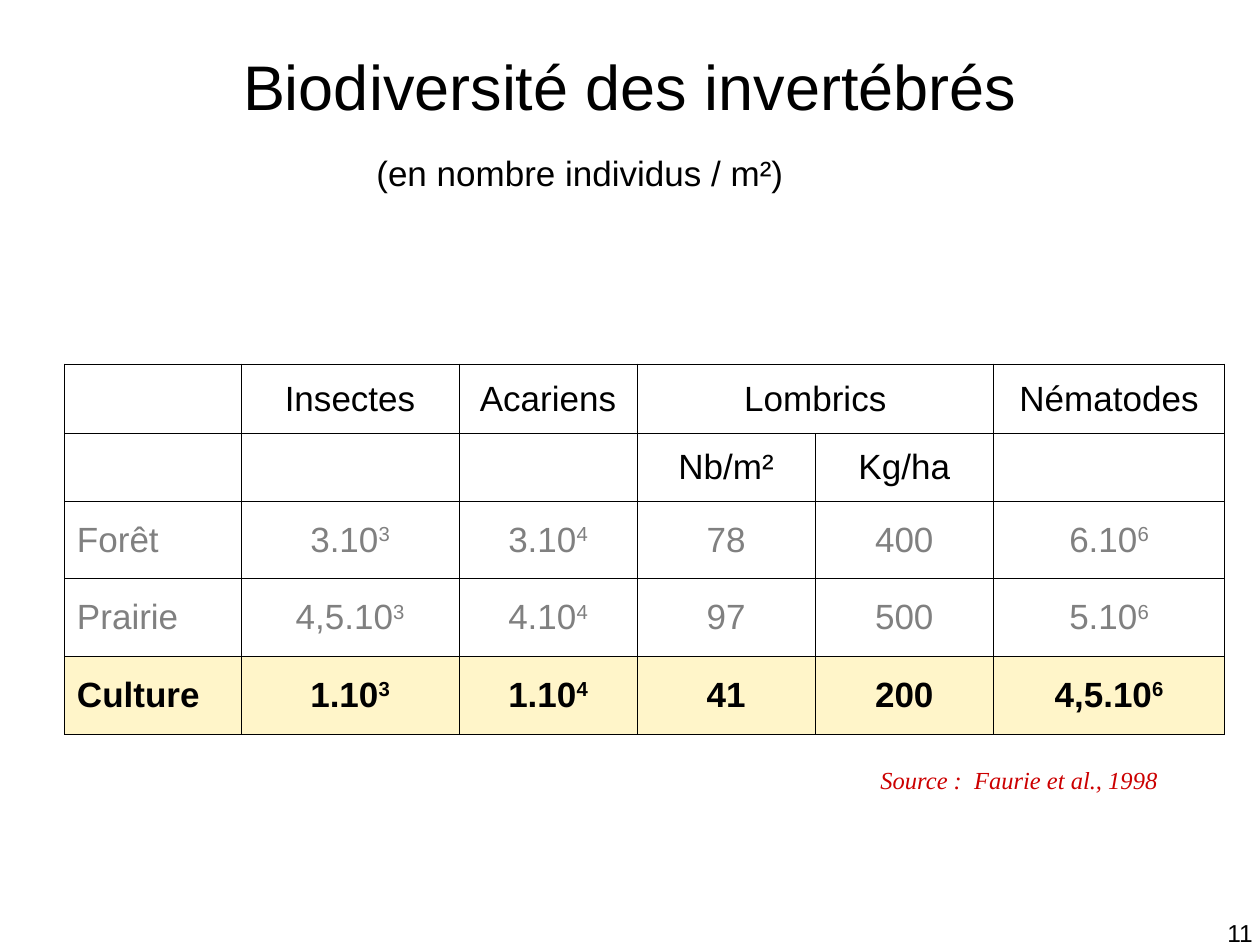
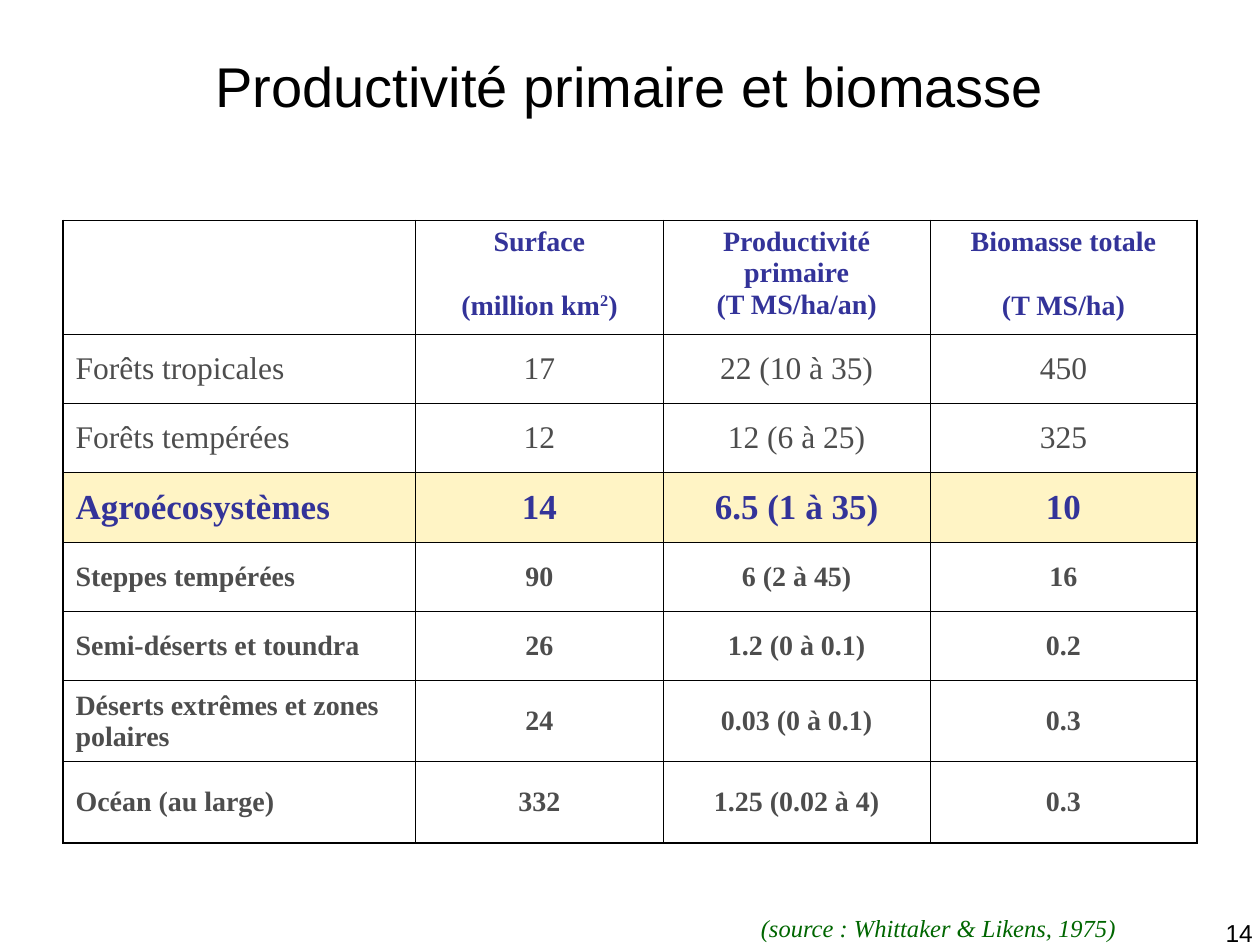
import pptx
import pptx.dml.color
import pptx.enum.text
import pptx.oxml
import pptx.util
from lxml import etree

Pt = pptx.util.Pt
RGBColor = pptx.dml.color.RGBColor
ALIGN = pptx.enum.text.PP_ALIGN
ANCHOR = pptx.enum.text.MSO_ANCHOR

SANS = "Arial"
SERIF = "Times New Roman"
BLACK = RGBColor(0x00, 0x00, 0x00)
GREY = RGBColor(0x80, 0x80, 0x80)
DARK_GREY = RGBColor(0x4D, 0x4D, 0x4D)
INDIGO = RGBColor(0x33, 0x33, 0x99)
RED = RGBColor(0xCC, 0x00, 0x00)
GREEN = RGBColor(0x00, 0x66, 0x00)
CREAM = RGBColor(0xFF, 0xF5, 0xC9)
PALE_YELLOW = RGBColor(0xFF, 0xF4, 0xC5)

THIN, THICK = 0.45, 1.08
LINE_HEIGHT = 1.15

INVERTEBRATE_COLS = [101, 124.5, 101.75, 101.75, 102, 132]
INVERTEBRATE_ROWS = [39.8, 38.5] + [44.4] * 3
INVERTEBRATES = [
    ["", "Insectes", "Acariens", "Lombrics", "", "Nématodes"],
    ["", "", "", "Nb/m²", "Kg/ha", ""],
    ["Forêt", "3.10^3", "3.10^4", "78", "400", "6.10^6"],
    ["Prairie", "4,5.10^3", "4.10^4", "97", "500", "5.10^6"],
    ["Culture", "1.10^3", "1.10^4", "41", "200", "4,5.10^6"],
]

BIOMASS_COLS = [201.5, 141.5, 152.5, 152.5]
BIOMASS_ROWS = [65] + [39.6] * 5 + [46.3] * 2
BIOMASS = [
    ["", "Surface\n\n(million km^2^)", "Productivité primaire\n(T MS/ha/an)",
     "Biomasse totale\n\n(T MS/ha)"],
    ["Forêts tropicales", "17", "22 (10 à 35)", "450"],
    ["Forêts tempérées", "12", "12 (6 à 25)", "325"],
    ["Agroécosystèmes", "14", "6.5 (1 à 35)", "10"],
    ["Steppes tempérées", "90", "6 (2 à 45)", "16"],
    ["Semi-déserts et toundra", "26", "1.2 (0 à 0.1)", "0.2"],
    ["Déserts extrêmes et zones polaires", "24", "0.03 (0 à 0.1)", "0.3"],
    ["Océan (au large)", "332", "1.25 (0.02 à 4)", "0.3"],
]


def write(tf, text, size=20, font=SANS, color=BLACK, bold=False, italic=False,
          align=ALIGN.LEFT):
    """Write one paragraph a line; an empty line becomes space before, ^ toggles superscript."""
    p, gap = None, 0
    for line in text.split("\n"):
        if not line:
            gap = size * LINE_HEIGHT
            continue
        p = tf.add_paragraph() if p is not None else tf.paragraphs[0]
        p.alignment = align
        p.space_before = Pt(gap)
        gap = 0
        for i, part in enumerate(line.split("^")):
            r = p.add_run()
            r.text = part
            r.font.name = font
            r.font.size = Pt(size)
            r.font.bold = bold
            r.font.italic = italic
            r.font.color.rgb = color
            if i % 2:
                r.font._element.set("baseline", "30000")


def add_text(s, text, left, top, width, height, anchor=ANCHOR.TOP, **fmt):
    tf = s.shapes.add_textbox(Pt(left), Pt(top), Pt(width), Pt(height)).text_frame
    tf.word_wrap = True
    tf.vertical_anchor = anchor
    write(tf, text, **fmt)


def add_page(prs, title, title_size, number):
    s = prs.slides.add_slide(prs.slide_layouts[6])
    add_text(s, number, 555, 521.3, 168, 37.4, size=14, align=ALIGN.RIGHT)
    add_text(s, title, 36, 3.6, 648, 90, anchor=ANCHOR.MIDDLE, size=title_size,
             align=ALIGN.CENTER)
    return s


def set_borders(cell, widths):
    """Draw black borders; widths holds left, right, top, bottom."""
    tcPr = cell._tc.get_or_add_tcPr()
    for side, width in zip("LRTB", widths):
        ln = etree.SubElement(tcPr, pptx.oxml.ns.qn(f"a:ln{side}"), w=str(int(Pt(width))))
        fill = etree.SubElement(ln, pptx.oxml.ns.qn("a:solidFill"))
        etree.SubElement(fill, pptx.oxml.ns.qn("a:srgbClr"), val=str(BLACK))


def add_grid(s, left, top, cols, rows, texts, styles, outline=THIN):
    """Add a bordered table; styles gives each row its text format, fill and anchor."""
    table = s.shapes.add_table(len(rows), len(cols), Pt(left), Pt(top),
                               Pt(sum(cols)), Pt(sum(rows))).table
    table.first_row = table.horz_banding = False
    for column, width in zip(table.columns, cols):
        column.width = Pt(width)
    for row, height in zip(table.rows, rows):
        row.height = Pt(height)
    for i, (line, style) in enumerate(zip(texts, styles)):
        fmt = dict(style)
        fill = fmt.pop("fill", None)
        anchor = fmt.pop("anchor", ANCHOR.MIDDLE)
        for j, text in enumerate(line):
            cell = table.cell(i, j)
            edges = (j == 0, j == len(cols) - 1, i == 0, i == len(rows) - 1)
            set_borders(cell, [outline if edge else THIN for edge in edges])
            if fill is None:
                cell.fill.background()
            else:
                cell.fill.solid()
                cell.fill.fore_color.rgb = fill
            cell.vertical_anchor = anchor
            write(cell.text_frame, text,
                  align=ALIGN.CENTER if j else ALIGN.LEFT, **fmt)
    return table


def add_invertebrates(prs):
    s = add_page(prs, "Biodiversité des invertébrés", 36, "11")
    styles = [{}] * 2 + [dict(color=GREY)] * 2 + [dict(bold=True, fill=CREAM)]
    table = add_grid(s, 36.8, 208, INVERTEBRATE_COLS, INVERTEBRATE_ROWS,
                     INVERTEBRATES, styles)
    table.cell(0, 3).merge(table.cell(0, 4))
    add_text(s, "(en nombre individus / m²)", 167, 82.8, 329, 31.7, align=ALIGN.CENTER)
    add_text(s, "Source :  Faurie et al., 1998", 496, 433.4, 187, 24.5,
             size=14, font=SERIF, color=RED, italic=True)


def add_biomass(prs):
    s = add_page(prs, "Productivité primaire et biomasse", 32, "14")
    header = dict(size=16, font=SERIF, color=INDIGO, bold=True, anchor=ANCHOR.TOP)
    forest = dict(size=18, font=SERIF, color=DARK_GREY)
    farmland = dict(size=20, font=SERIF, color=INDIGO, bold=True, fill=PALE_YELLOW)
    other = dict(size=16, font=SERIF, color=DARK_GREY, bold=True)
    add_grid(s, 36, 126, BIOMASS_COLS, BIOMASS_ROWS, BIOMASS,
             [header] + [forest] * 2 + [farmland] + [other] * 4, outline=THICK)
    add_text(s, "(source : Whittaker & Likens, 1975)", 427.7, 518.4, 255, 24.5,
             size=14, font=SERIF, color=GREEN, italic=True)


def main():
    prs = pptx.Presentation()
    prs.slide_width, prs.slide_height = Pt(720), Pt(540)
    add_invertebrates(prs)
    add_biomass(prs)
    prs.save("out.pptx")


if __name__ == "__main__":
    main()
